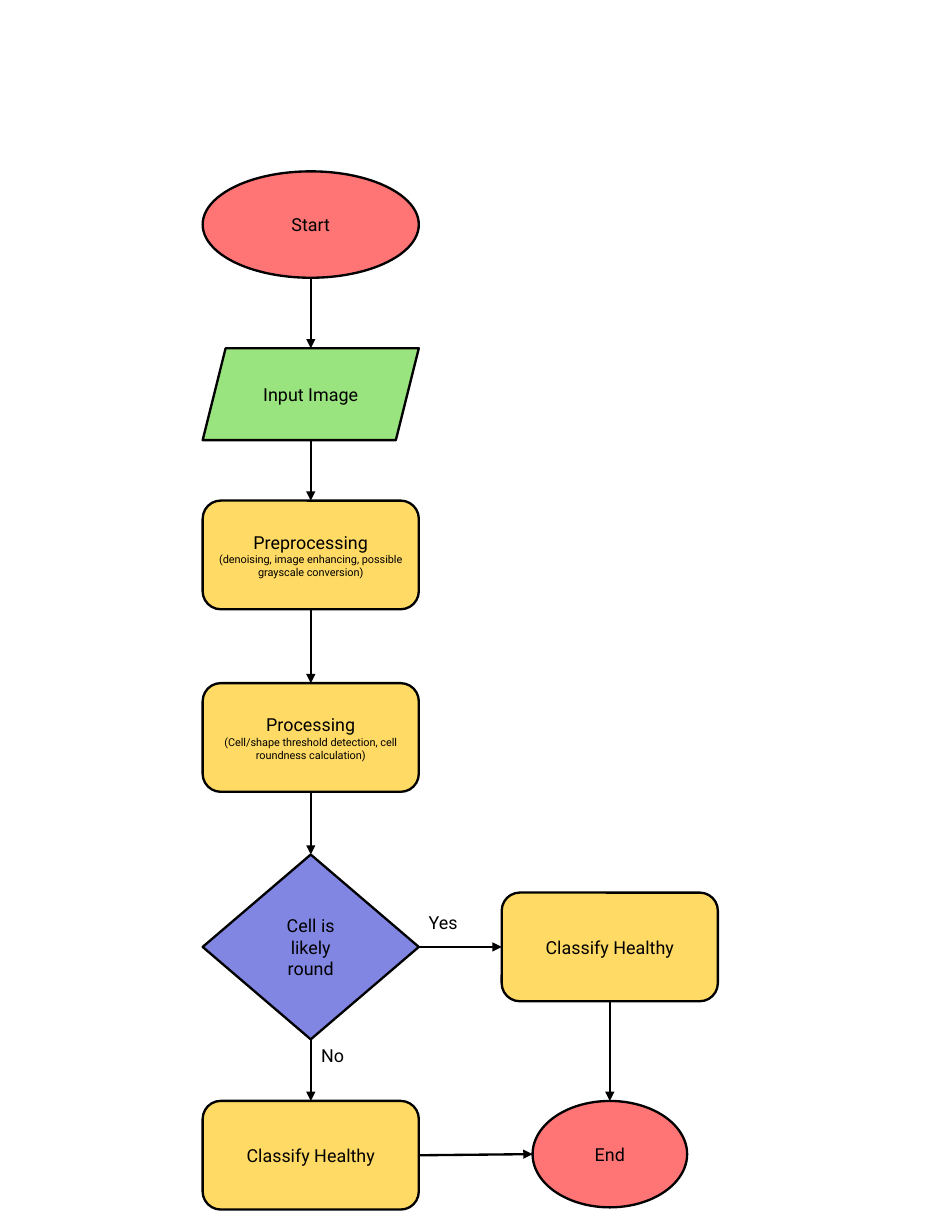
from lxml import etree
from pptx import Presentation, util as u
from pptx.dml.color import RGBColor
from pptx.enum import shapes, text
from pptx.oxml import ns

COLORS = {"black": "000000", "terminal": "FF7575", "input": "9AE480",
          "process": "FFDA65", "decision": "8186E3"}
COLUMN = {"main": 2.775, "side": 5.445}  # column centres, in inches
ROW = {"start": 1.53, "input": 3.11, "preprocess": 4.47, "process": 6.1,
       "decide": 7.63, "healthy": 7.97, "last": 9.83}  # row tops
NODE_W, PROCESS_H, TERMINAL_H = 1.93, 0.97, 0.95
BODY, NOTE = 11.5, 7
LINE_W = u.Pt(1.5)

prs = Presentation()
prs.slide_width, prs.slide_height = u.Inches(8.5), u.Inches(11)
slide = prs.slides.add_slide(prs.slide_layouts[6])


def write(frame, *lines, align=text.PP_ALIGN.CENTER,
          anchor=text.MSO_ANCHOR.MIDDLE):
    """Fill a text frame with (wording, size) lines, one per paragraph."""
    frame.word_wrap = True
    frame.vertical_anchor = anchor
    for i, (wording, size) in enumerate(lines):
        para = frame.add_paragraph() if i else frame.paragraphs[0]
        para.alignment = align
        run = para.add_run()
        run.text = wording
        run.font.name, run.font.size = "Roboto", u.Pt(size)
        run.font.color.rgb = RGBColor.from_string(COLORS["black"])


def arrow(start, end):
    link = slide.shapes.add_connector(
        shapes.MSO_CONNECTOR.STRAIGHT, *start, *end)
    link.line.width = LINE_W
    link.line.color.rgb = RGBColor.from_string(COLORS["black"])
    etree.SubElement(link.line._get_or_add_ln(), ns.qn("a:tailEnd"),
                     type="triangle")
    etree.SubElement(link._element.spPr, ns.qn("a:effectLst"))


KIND = shapes.MSO_SHAPE
steps = {  # step: preset, colour, column, row, width, height, lines
    "start": (KIND.OVAL, "terminal", "main", "start", NODE_W, TERMINAL_H,
              [("Start", BODY)]),
    "input": (KIND.PARALLELOGRAM, "input", "main", "input", NODE_W, 0.82,
              [("Input Image", BODY)]),
    "preprocess": (KIND.ROUNDED_RECTANGLE, "process", "main", "preprocess",
                   NODE_W, PROCESS_H,
                   [("Preprocessing", BODY),
                    ("(denoising, image enhancing, possible grayscale "
                     "conversion)", NOTE)]),
    "process": (KIND.ROUNDED_RECTANGLE, "process", "main", "process",
                NODE_W, PROCESS_H,
                [("Processing", BODY),
                 ("(Cell/shape threshold detection, cell roundness "
                  "calculation)", NOTE)]),
    "decide": (KIND.DIAMOND, "decision", "main", "decide", NODE_W, 1.65,
               [("Cell is likely round", BODY)]),
    "if round": (KIND.ROUNDED_RECTANGLE, "process", "side", "healthy",
                 NODE_W, PROCESS_H, [("Classify Healthy", BODY)]),
    "if not round": (KIND.ROUNDED_RECTANGLE, "process", "main", "last",
                     NODE_W, PROCESS_H, [("Classify Healthy", BODY)]),
    "end": (KIND.OVAL, "terminal", "side", "last", 1.38, TERMINAL_H,
            [("End", BODY)]),
}

nodes = {}
for step, (kind, color, column, row, width, height, lines) in steps.items():
    node = slide.shapes.add_shape(
        kind, u.Inches(COLUMN[column] - width / 2), u.Inches(ROW[row]),
        u.Inches(width), u.Inches(height))
    node.shadow.inherit = False
    node.fill.solid()
    node.fill.fore_color.rgb = RGBColor.from_string(COLORS[color])
    node.line.color.rgb = RGBColor.from_string(COLORS["black"])
    node.line.width = LINE_W
    write(node.text_frame, *lines)
    nodes[step] = node

downward = ["start", "input", "preprocess", "process", "decide", "if not round"]
for upper, lower in [*zip(downward, downward[1:]), ("if round", "end")]:
    a, b = nodes[upper], nodes[lower]
    arrow((a.left + a.width // 2, a.top + a.height),
          (b.left + b.width // 2, b.top))

for before, after in [("decide", "if round"), ("if not round", "end")]:
    a, b = nodes[before], nodes[after]
    arrow((a.left + a.width, a.top + a.height // 2),
          (b.left, b.top + b.height // 2))

for answer, left, top in [("Yes", 3.73, 8.09), ("No", 2.77, 9.28)]:
    label = slide.shapes.add_textbox(
        u.Inches(left), u.Inches(top), u.Inches(0.64), u.Inches(0.4))
    write(label.text_frame, (answer, BODY), align=text.PP_ALIGN.LEFT,
          anchor=text.MSO_ANCHOR.TOP)

prs.save("out.pptx")
